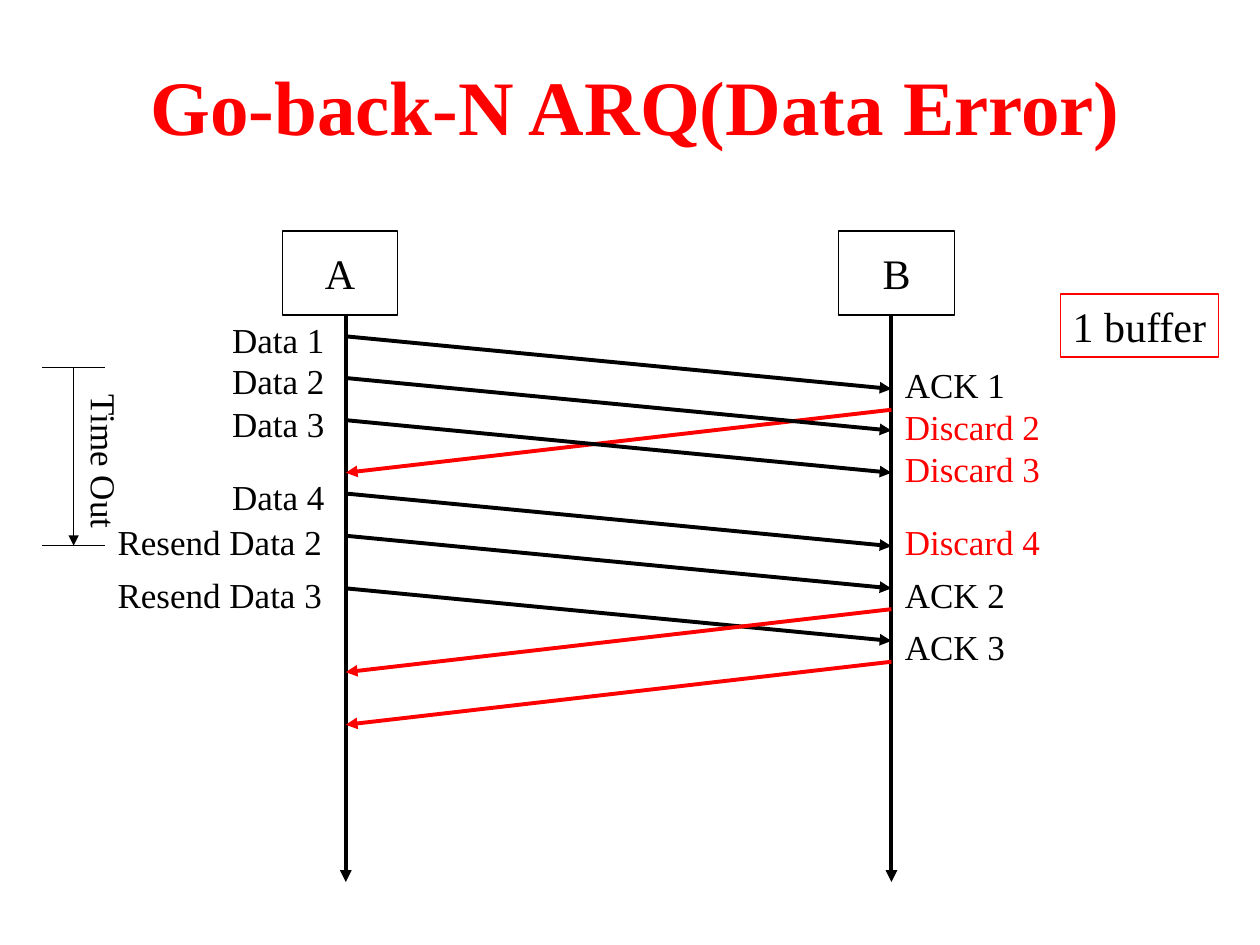
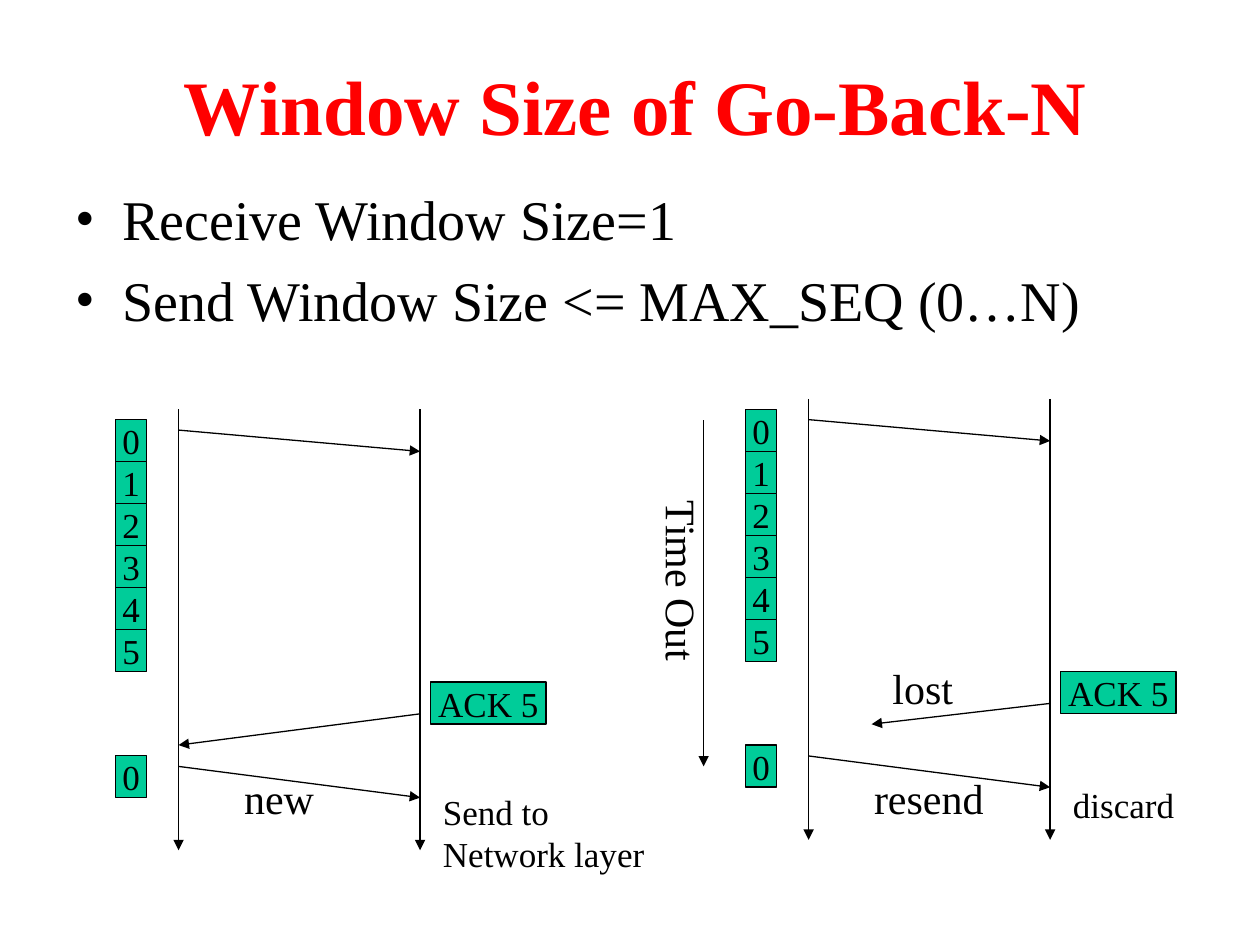
import pptx
import pptx.dml.color
import pptx.enum.shapes
import pptx.enum.text
import pptx.oxml.ns
import pptx.util
from lxml import etree

Cm = pptx.util.Cm
Pt = pptx.util.Pt
Align = pptx.enum.text.PP_ALIGN
Anchor = pptx.enum.text.MSO_ANCHOR
qn = pptx.oxml.ns.qn

BLACK = pptx.dml.color.RGBColor(0x00, 0x00, 0x00)
RED = pptx.dml.color.RGBColor(0xFF, 0x00, 0x00)
GREEN = pptx.dml.color.RGBColor(0x00, 0xCC, 0x99)
FONT = "Times New Roman"
TITLE_BOX = (1.28, 1.06, 23.07, 2.12)
TITLE_FORMAT = {"size": Pt(44), "bold": True, "color": RED}
THIN, THICK = 0.75, 2.25
LINE_HEIGHT = {20: 1.12, 24: 1.27}

# Go-back-N exchange: time sent, sender's label, receiver's label, its colour
DATA_FRAMES = [
    (2.12, "Data 1", "ACK 1", BLACK),
    (2.96, "Data 2", "Discard 2", RED),
    (3.81, "Data 3", "Discard 3", RED),
    (5.29, "Data 4", "Discard 4", RED),
]
RESENT_FRAMES = [
    (6.14, "Resend Data 2", "ACK 2", BLACK),
    (7.2, "Resend Data 3", "ACK 3", BLACK),
]
FIRST_ACK, *LATER_ACKS = 3.6, 7.62, 8.68
FRAME_DELAY, ACK_DELAY = 1.06, 1.27

# Window diagrams, with positions measured from the diagram's corner
SEQUENCE = range(6)
CELL_WIDTH, CELL_HEIGHT = 0.63, 2.54 / 3
DELIVERED = {
    "ack_end": (1.27, 6.77),
    "labels": [
        ("new", 24, (2.34, 7.19, 2.1)),
        ("Send to\nNetwork layer", 20, (6.35, 7.55, 4.7)),
    ],
}
ACK_LOST = {
    "ack_end": (2.54, 6.56),
    "labels": [
        ("lost", 24, (2.71, 5.2, 1.9)),
        ("resend", 24, (2.34, 7.41, 2.9)),
        ("discard", 20, (6.35, 7.62, 2.75)),
    ],
}


def fill_text(frame, text, size, color=BLACK, bold=False, align=Align.LEFT):
    frame.text = text
    font_format = {"name": FONT, "size": size, "bold": bold}
    for paragraph in frame.paragraphs:
        paragraph.alignment = align
        for run in paragraph.runs:
            for attribute, value in font_format.items():
                setattr(run.font, attribute, value)
            run.font.color.rgb = color


def add_text_box(slide, box):
    return slide.shapes.add_textbox(*map(Cm, box)).text_frame


def add_label(slide, left, top, width, text, size=20, color=BLACK):
    """Unwrapped label as tall as its lines of text."""
    height = LINE_HEIGHT[size] + text.count("\n") * CELL_HEIGHT
    frame = add_text_box(slide, (left, top, width, height))
    frame.word_wrap = False
    frame.auto_size = pptx.enum.text.MSO_AUTO_SIZE.SHAPE_TO_FIT_TEXT
    fill_text(frame, text, Pt(size), color)


def add_box(slide, box, text, size=24, fill=None, outline=BLACK):
    rectangle = slide.shapes.add_shape(
        pptx.enum.shapes.MSO_SHAPE.RECTANGLE, *map(Cm, box))
    rectangle.shadow.inherit = False
    if fill is None:
        rectangle.fill.background()
    else:
        rectangle.fill.solid()
        rectangle.fill.fore_color.rgb = fill
    rectangle.line.color.rgb = outline
    rectangle.line.width = Pt(THIN)
    frame = rectangle.text_frame
    frame.word_wrap = False
    frame.vertical_anchor = Anchor.MIDDLE
    fill_text(frame, text, Pt(size), align=Align.CENTER)


def add_line(slide, start, end, color=BLACK, width=THIN, arrow=True):
    connector = slide.shapes.add_connector(
        pptx.enum.shapes.MSO_CONNECTOR.STRAIGHT, *map(Cm, (*start, *end)))
    connector.line.color.rgb = color
    connector.line.width = Pt(width)
    if arrow:
        outline = connector.line._get_or_add_ln()
        etree.SubElement(outline, qn("a:tailEnd"), type="triangle")
    etree.SubElement(connector._element.spPr, qn("a:effectLst"))


def add_title(slide, text):
    frame = add_text_box(slide, TITLE_BOX)
    frame.word_wrap = True
    frame.vertical_anchor = Anchor.MIDDLE
    fill_text(frame, text, align=Align.CENTER, **TITLE_FORMAT)


def add_bullets(slide, box, items):
    frame = add_text_box(slide, box)
    frame.word_wrap = True
    fill_text(frame, "\n".join(items), Pt(32))
    for paragraph in frame.paragraphs:
        paragraph.space_before = Pt(8)
        properties = paragraph._p.get_or_add_pPr()
        properties.set("marL", str(Cm(0.95)))
        properties.set("indent", str(-Cm(0.95)))
        etree.SubElement(properties, qn("a:buFont"), typeface=FONT)
        etree.SubElement(properties, qn("a:buChar"), char="•")


def add_timer(slide, box, label_box, size, ticks=False):
    """Time-out arrow down the middle of box; label_box is relative to it."""
    left, top, width, height = box
    middle, bottom = left + width / 2, top + height
    add_line(slide, (middle, top), (middle, bottom))
    if ticks:
        for y in (top, bottom):
            add_line(slide, (left, y), (left + width, y), arrow=False)
    dx, dy, label_width, label_height = label_box
    frame = add_text_box(slide, (left + dx, top + dy, label_width, label_height))
    margins = {"margin_left": 0.13, "margin_right": 0.13,
               "margin_top": 0.25, "margin_bottom": 0.25}
    for side, value in margins.items():
        setattr(frame, side, Cm(value))
    frame.word_wrap = False
    frame._txBody.bodyPr.set("vert", "eaVert")
    fill_text(frame, "Time Out", Pt(size))


def add_exchange(slide, box):
    """Sender A and receiver B with the frames and ACKs between them."""
    left, top, width, height = box
    right = left + width
    node_width, node_height = 2.33, 1.69
    for x, node_left, name in ((left, left - 1.28, "A"), (right, right - 1.06, "B")):
        add_line(slide, (x, top + node_height), (x, top + height), width=THICK)
        add_box(slide, (node_left, top, node_width, node_height), name)

    def add_ack(sent):
        add_line(slide, (right, top + sent), (left, top + sent + ACK_DELAY),
                 RED, THICK)

    def add_frames(frames, label_dx, label_width, sent_lift, reply_lift):
        for sent, name, reply, reply_color in frames:
            start = top + sent
            end = start + FRAME_DELAY
            add_line(slide, (left, start), (right, end), width=THICK)
            add_label(slide, left + label_dx, start - sent_lift, label_width, name)
            reply_width = 2.75 if reply.startswith("ACK") else 3.4
            add_label(slide, right + 0.02, end - reply_lift, reply_width, reply,
                      color=reply_color)

    add_ack(FIRST_ACK)
    add_frames(DATA_FRAMES, -2.54, 2.55, 0.49, 0.64)
    add_frames(RESENT_FRAMES, -4.85, 4.8, 0.43, 0.43)
    for sent in LATER_ACKS:
        add_ack(sent)


def add_window(slide, box, ack_end, labels):
    """Send window beside two time lines, closed by ACK 5 and a second frame 0."""
    left, top, width, height = box
    sender, receiver = left + 1.27, left + 6.14
    for x in (sender, receiver):
        add_line(slide, (x, top), (x, top + height))
    cells = [(number, 0.21 + number * CELL_HEIGHT) for number in SEQUENCE]
    for number, y in cells + [(0, 6.98)]:
        add_box(slide, (left, top + y, CELL_WIDTH, CELL_HEIGHT), str(number),
                20, GREEN)
    for sent, received in ((0.42, 0.85), (7.2, 7.83)):
        add_line(slide, (sender, top + sent), (receiver, top + received))
    ack_x, ack_y = ack_end
    add_line(slide, (receiver, top + 6.14), (left + ack_x, top + ack_y))
    ack_width = 2.33
    add_box(slide, (left + width - ack_width, top + 5.5, ack_width, CELL_HEIGHT),
            "ACK 5", 20, GREEN)
    for text, size, (dx, dy, label_width) in labels:
        add_label(slide, left + dx, top + dy, label_width, text, size)


def build_data_error_slide(slide):
    add_title(slide, "Go-back-N ARQ(Data Error)")
    add_exchange(slide, (6.97, 4.66, 11.0, 13.12))
    add_box(slide, (21.38, 5.93, 3.18, 1.27), "1 buffer", outline=RED)
    add_timer(slide, (0.85, 7.41, 1.27, 3.59), (0.47, 0.29, 1.35, 3.0), 20,
              ticks=True)


def build_window_size_slide(slide):
    add_title(slide, "Window Size of Go-Back-N")
    add_bullets(slide, (1.27, 3.6, 23.07, 3.6),
                ["Receive Window Size=1", "Send Window Size <= MAX_SEQ (0…N)"])
    add_window(slide, (2.33, 8.25, 8.68, 8.89), **DELIVERED)
    add_window(slide, (15.03, 8.04, 8.68, 8.89), **ACK_LOST)
    add_timer(slide, (13.55, 8.47, 1.27, 6.98), (-0.67, 1.38, 1.52, 3.53), 24)


def main():
    deck = pptx.Presentation()
    deck.slide_width, deck.slide_height = Cm(25.4), Cm(19.05)
    blank = deck.slide_layouts[6]
    for build in (build_data_error_slide, build_window_size_slide):
        build(deck.slides.add_slide(blank))
    deck.save("out.pptx")


if __name__ == "__main__":
    main()
